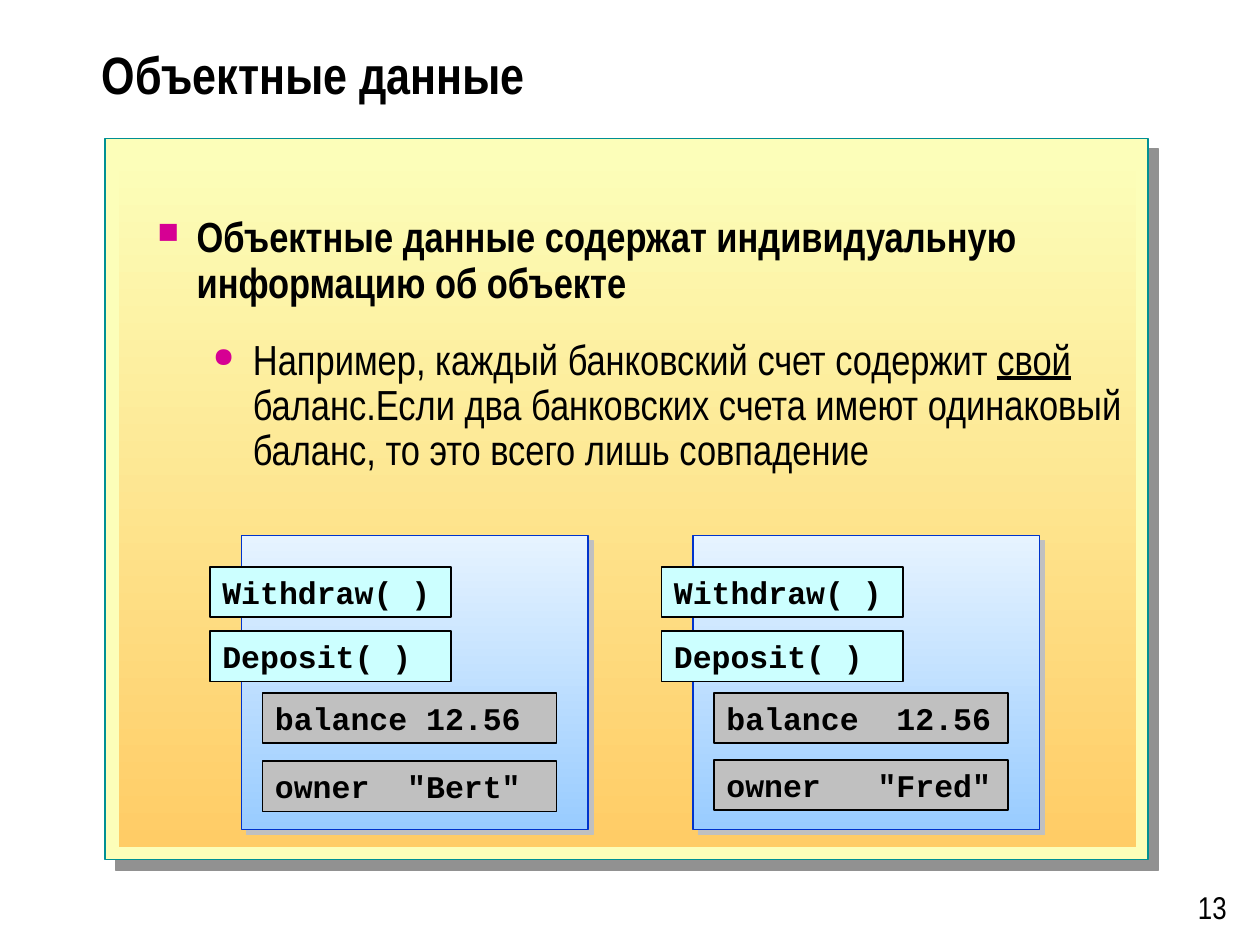
"""Build the slide on object data with its two account objects."""
import dataclasses

import lxml.etree
import pptx
import pptx.dml.color
import pptx.enum.shapes
import pptx.enum.text
import pptx.oxml.ns
import pptx.util

Pt = pptx.util.Pt
RGB = pptx.dml.color.RGBColor.from_string
qn = pptx.oxml.ns.qn
Align = pptx.enum.text.PP_ALIGN
Anchor = pptx.enum.text.MSO_ANCHOR
Fit = pptx.enum.text.MSO_AUTO_SIZE


@dataclasses.dataclass(frozen=True)
class Theme:
    """Colours, fonts and type sizes of the slide."""
    ink: str = "000000"
    cream: str = "FCFEB9"
    gold: str = "FFCC66"
    teal: str = "009094"
    shade: str = "919191"
    pale: str = "E6F3FF"
    sky: str = "99CCFF"
    blue: str = "0033CC"
    aqua: str = "CCFFFF"
    grey: str = "C0C0C0"
    pink: str = "D60093"
    sans: str = "Arial Narrow"
    mono: str = "Courier New"
    head: int = 30
    body: int = 24
    label: int = 18


T = Theme()


def add(parent, tag, **attrs):
    """Append a DrawingML element and return it."""
    node = lxml.etree.SubElement(parent, qn("a:" + tag))
    for key, value in attrs.items():
        node.set(key, str(value))
    return node


def style(para, size, face=T.sans, bold=False):
    """Set the font of a whole paragraph."""
    font = para.font
    font.name, font.size, font.bold = face, Pt(size), bold
    font.color.rgb = RGB(T.ink)


def place(shape, box):
    """Move and size a shape."""
    shape.left, shape.top, shape.width, shape.height = map(Pt, box)


def rect(slide, box, fills, line=None, width=1):
    """Draw a rectangle with a plain or top-to-bottom gradient fill."""
    kind = pptx.enum.shapes.MSO_SHAPE.RECTANGLE
    shape = slide.shapes.add_shape(kind, *map(Pt, box))
    shape.shadow.inherit = False
    if len(fills) == 1:
        shape.fill.solid()
        shape.fill.fore_color.rgb = RGB(fills[0])
    else:
        shape.fill.gradient()
        shape.fill.gradient_angle = 270
        for i, (stop, tint) in enumerate(zip(shape.fill.gradient_stops, fills)):
            stop.position = i
            stop.color.rgb = RGB(tint)
    if line:
        shape.line.color.rgb = RGB(line)
        shape.line.width = Pt(width)
    else:
        shape.line.fill.background()
    return shape


def shadow(shape, tint, dist):
    """Give a shape a hard shadow to the lower right."""
    effects = shape._element.spPr.find(qn("a:effectLst"))
    outer = add(effects, "outerShdw", blurRad=0, dist=Pt(dist),
                dir=45 * 60000, algn="ctr", rotWithShape=0)
    add(outer, "srgbClr", val=tint)


def label(slide, box, tint, text, tab=None):
    """Draw a code label, with an optional right tab stop for its value."""
    shape = rect(slide, box, [tint], T.ink)
    frame = shape.text_frame
    frame.word_wrap = True
    frame.auto_size = Fit.SHAPE_TO_FIT_TEXT
    frame.vertical_anchor = Anchor.TOP
    para = frame.paragraphs[0]
    para.text = text
    para.alignment = Align.LEFT
    if tab:
        stops = add(para._p.get_or_add_pPr(), "tabLst")
        add(stops, "tab", pos=Pt(tab), algn="r")
    style(para, T.label, T.mono, True)


def card(slide, left, tab, owner, last):
    """Draw one account object with its methods and data."""
    back = rect(slide, (left, 306, 198, 168), (T.pale, T.sky), T.blue, 0.75)
    shadow(back, T.grey, 4.2)
    for top, text in ((324, "Withdraw( )"), (360.7, "Deposit( )")):
        label(slide, (left - 18, top, 138, 28.8), T.aqua, text)
    for top, text in ((396, "balance\t12.56"), (last, f'owner\t"{owner}"')):
        label(slide, (left + 12, top, 168, 28.8), T.grey, text, tab)


def bullet(para, mark, scale, left, hang):
    """Give a paragraph a coloured bullet and a hanging indent."""
    props = para._p.get_or_add_pPr()
    props.set("marL", str(Pt(left)))
    props.set("indent", str(Pt(-hang)))
    add(add(props, "buClr"), "srgbClr", val=T.pink)
    add(props, "buSzPct", val=scale * 1000)
    add(props, "buChar", char=mark)
    para.line_spacing = 0.9


def title(slide, text):
    """Fill and format the title placeholder."""
    shape = slide.shapes.title
    place(shape, (51, 12.2, 645, 66))
    frame = shape.text_frame
    frame.auto_size = Fit.NONE
    frame.vertical_anchor = Anchor.MIDDLE
    para = frame.paragraphs[0]
    para.text = text
    para.alignment = Align.LEFT
    para.line_spacing = 0.8
    style(para, T.head, bold=True)


def body(slide):
    """Write the main point and its example."""
    frame = slide.shapes.add_textbox(*map(Pt, (82.8, 120.2, 566.6, 363.6))).text_frame
    frame.word_wrap = True
    point = frame.paragraphs[0]
    point.text = "Объектные данные содержат индивидуальную информацию об объекте"
    bullet(point, "■", 70, 22.5, 22.5)
    style(point, T.body, bold=True)
    case = frame.add_paragraph()
    case.level = 1
    bullet(case, "●", 65, 54.7, 23)
    case.space_before = Pt(18)
    style(case, T.body)
    for text, under in (
        ("Например, каждый банковский счет содержит ", False),
        ("свой ", True),
        ("баланс.Если два банковских счета имеют одинаковый баланс, "
         "то это всего лишь совпадение", False),
    ):
        run = case.add_run()
        run.text = text
        run.font.underline = under


def number(slide, text):
    """Write the slide number."""
    frame = slide.shapes.add_textbox(*map(Pt, (648, 504, 60, 28.8))).text_frame
    frame.word_wrap = True
    para = frame.paragraphs[0]
    para.text = text
    para.alignment = Align.RIGHT
    style(para, T.label)


def main():
    """Build and save the slide."""
    deck = pptx.Presentation()
    deck.slide_width, deck.slide_height = Pt(720), Pt(540)
    slide = deck.slides.add_slide(deck.slide_layouts[5])
    panel = rect(slide, (60, 79.2, 596, 412), [T.cream], T.teal)
    shadow(panel, T.shade, 8.5)
    rect(slide, (68, 88, 581, 396), (T.cream, T.gold))
    title(slide, "Объектные данные")
    body(slide)
    card(slide, 138, 140.4, "Bert", 435)
    card(slide, 396, 151.2, "Fred", 434.3)
    number(slide, "13")
    deck.save("out.pptx")


if __name__ == "__main__":
    main()
